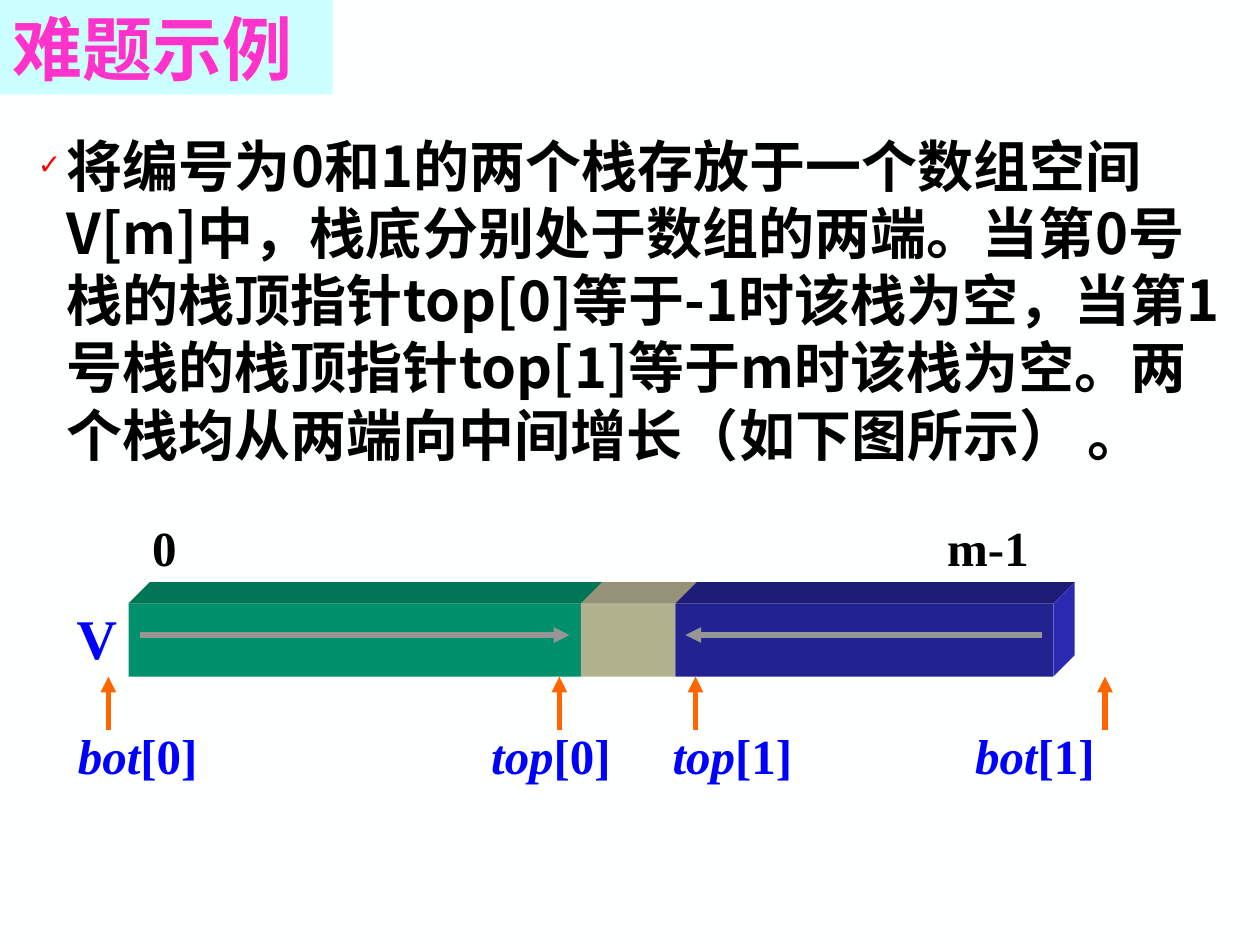
from dataclasses import dataclass
from lxml import etree
from pptx import Presentation
from pptx.dml.color import RGBColor
from pptx.enum.shapes import MSO_CONNECTOR as CONN, MSO_SHAPE as SHAPE
from pptx.enum.text import MSO_ANCHOR as ANCHOR, MSO_AUTO_SIZE as FIT, PP_ALIGN as ALIGN
from pptx.oxml.ns import qn
from pptx.util import Inches, Pt


@dataclass
class Theme:
    cjk: str = "Noto Sans CJK SC"
    latin: str = "Times New Roman"
    title: int = 40
    body: int = 32
    label: int = 28
    background: str = "FEFFFF"
    title_fill: str = "CCFFFF"
    title_text: str = "FF33CC"
    text: str = "000000"
    blue: str = "0000FF"
    tick: str = "FF0000"
    pointer: str = "FF6600"
    growth: str = "969696"
    side: str = "2C2AB0"


theme = Theme()
rgb = RGBColor.from_string


def write(sp, runs, size, color, font, tabs=(), bullet=None):
    """Fill one paragraph with (text, italic) runs; return the paragraph."""
    tf = sp.text_frame
    tf.auto_size = FIT.NONE
    p = tf.paragraphs[0]
    p.alignment = ALIGN.LEFT
    p.space_before = Pt(0)
    pPr = p._p.get_or_add_pPr()
    if bullet:
        pPr.set("marL", str(Inches(0.23)))
        pPr.set("indent", str(-Inches(0.23)))
        color_el = etree.SubElement(pPr, qn("a:buClr"))
        etree.SubElement(color_el, qn("a:srgbClr"), val=theme.tick)
        etree.SubElement(pPr, qn("a:buSzPct"), val="50000")
        etree.SubElement(pPr, qn("a:buChar"), char=bullet)
    if tabs:
        tab_list = etree.SubElement(pPr, qn("a:tabLst"))
        for pos in tabs:
            etree.SubElement(tab_list, qn("a:tab"), pos=str(Inches(pos)), algn="l")
    for text, italic in runs:
        r = p.add_run()
        r.text = text
        r.font.size, r.font.bold, r.font.italic = Pt(size), True, italic
        r.font.name = font
        r.font.color.rgb = rgb(color)
        etree.SubElement(r._r.get_or_add_rPr(), qn("a:ea"), typeface=font)
    return p


def paint(sp, color):
    sp.shadow.inherit = False
    sp.fill.solid()
    sp.fill.fore_color.rgb = rgb(color)
    sp.line.fill.background()


prs = Presentation()
prs.slide_width, prs.slide_height = Inches(10), Inches(7.5)
s = prs.slides.add_slide(prs.slide_layouts[1])
s.background.fill.solid()
s.background.fill.fore_color.rgb = rgb(theme.background)

# Problem statement
body = s.placeholders[1]
body.left, body.top, body.width, body.height = map(Inches, (0.2, 0.99, 9.69, 2.77))
body.text_frame.vertical_anchor = ANCHOR.MIDDLE
p = write(body, [("将编号为0和1的两个栈存放于一个数组空间V[m]中，栈底分别处于数组的两端。"
                  "当第0号栈的栈顶指针top[0]等于-1时该栈为空，当第1号栈的栈顶指针top[1]"
                  "等于m时该栈为空。两个栈均从两端向中间增长（如下图所示） 。", False)],
          theme.body, theme.text, theme.cjk, bullet="✓")

# Title
title = s.shapes.title
title.left, title.top, title.width, title.height = map(Inches, (0, 0, 2.64, 0.75))
title.fill.solid()
title.fill.fore_color.rgb = rgb(theme.title_fill)
title.text_frame.vertical_anchor = ANCHOR.MIDDLE
write(title, [("难题示例", False)], theme.title, theme.title_text, theme.cjk)

# Array bar: front and top face of each section, then the right side
bar_top, bar_bottom, depth = 4.79, 5.37, 0.17
sections = [(1.02, 4.61, "00906C", "007657"),
            (4.61, 5.36, "B3B28F", "949377"),
            (5.36, 8.36, "222290", "1C1B75")]
faces = []
for left, right, front_color, top_color in sections:
    front = s.shapes.add_shape(SHAPE.RECTANGLE, Inches(left), Inches(bar_top),
                               Inches(right - left), Inches(bar_bottom - bar_top))
    paint(front, front_color)
    faces.append(([(left, bar_top), (left + depth, bar_top - depth),
                   (right + depth, bar_top - depth), (right, bar_top)], top_color))
bar_right = sections[-1][1]
faces.append(([(bar_right, bar_top), (bar_right + depth, bar_top - depth),
               (bar_right + depth, bar_bottom - depth), (bar_right, bar_bottom)], theme.side))
for points, color in faces:
    corners = [(Inches(x), Inches(y)) for x, y in points]
    builder = s.shapes.build_freeform(*corners[0])
    builder.add_line_segments(corners[1:], close=True)
    paint(builder.convert_to_shape(), color)

# Pointer arrows below the bar, growth arrows inside it
arrows = [(x, 5.79, x, bar_bottom, theme.pointer) for x in (0.86, 4.44, 5.52, 8.77)]
arrows += [(1.11, 5.04, 4.52, 5.04, theme.growth), (8.27, 5.04, 5.44, 5.04, theme.growth)]
for x1, y1, x2, y2, color in arrows:
    line = s.shapes.add_connector(CONN.STRAIGHT, *map(Inches, (x1, y1, x2, y2)))
    line.line.color.rgb = rgb(color)
    line.line.width = Pt(3)
    etree.SubElement(line.line._get_or_add_ln(), qn("a:tailEnd"), type="triangle")
    etree.SubElement(line._element.spPr, qn("a:effectLst"))

# Labels, spaced by tab stops
pointer_runs = [("bot", True), ("[0]\t", False), ("top", True), ("[0]\t", False),
                ("top", True), ("[1]\t", False), ("bot", True), ("[1]", False)]
labels = [
    ((0.52, 5.71, 8.28, 0.57), pointer_runs, theme.label, theme.blue, (3.28, 4.72, 7.12)),
    ((1.11, 4.06, 7.17, 0.57), [("0\tm-1", False)], theme.label, theme.text, (6.31,)),
    ((0.51, 4.74, 0.52, 0.63), [("V", False)], theme.body, theme.blue, ()),
]
for box, runs, size, color, tabs in labels:
    sp = s.shapes.add_textbox(*map(Inches, box))
    write(sp, runs, size, color, theme.latin, tabs=tabs)
    sp.text_frame.word_wrap = False

prs.save("out.pptx")
